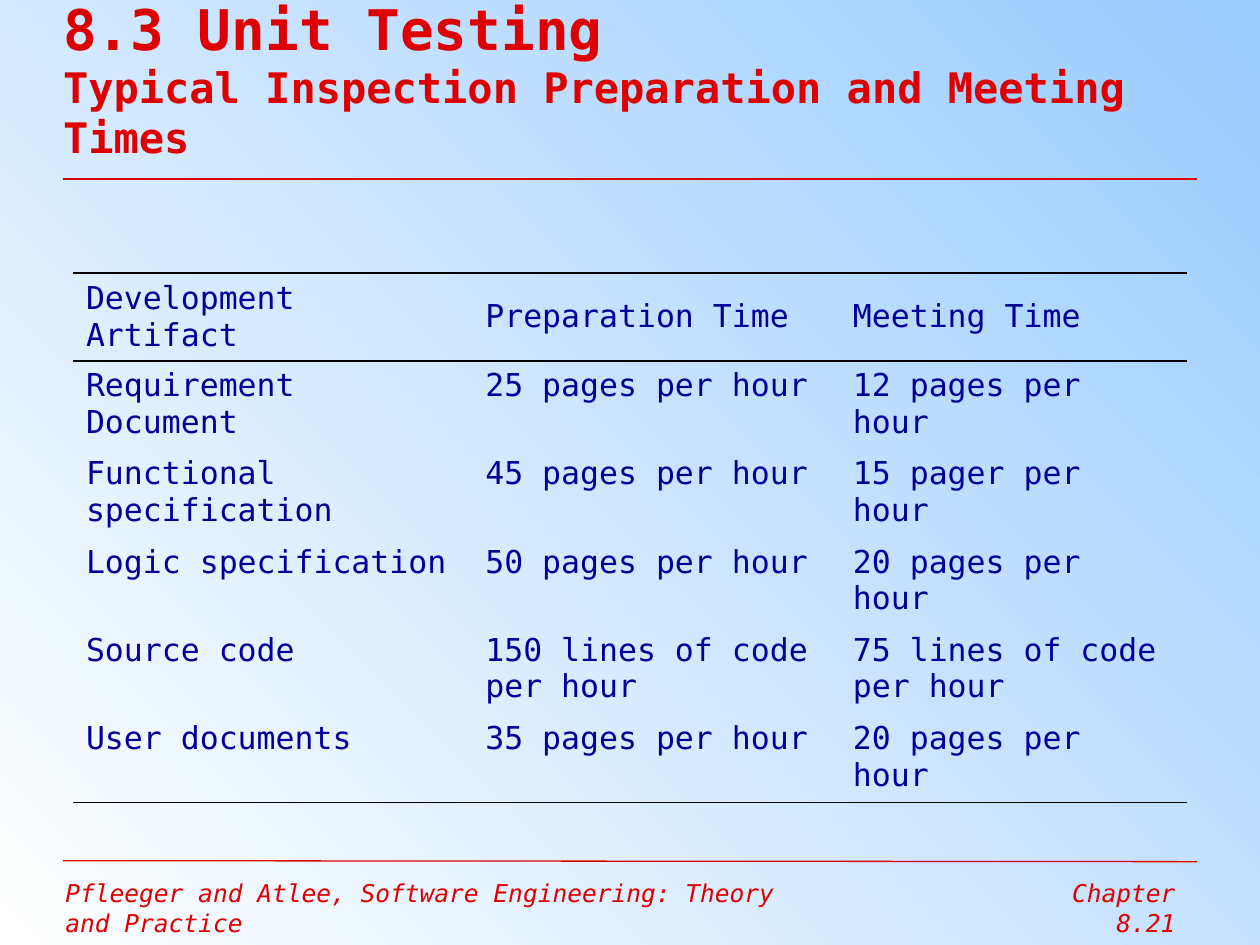
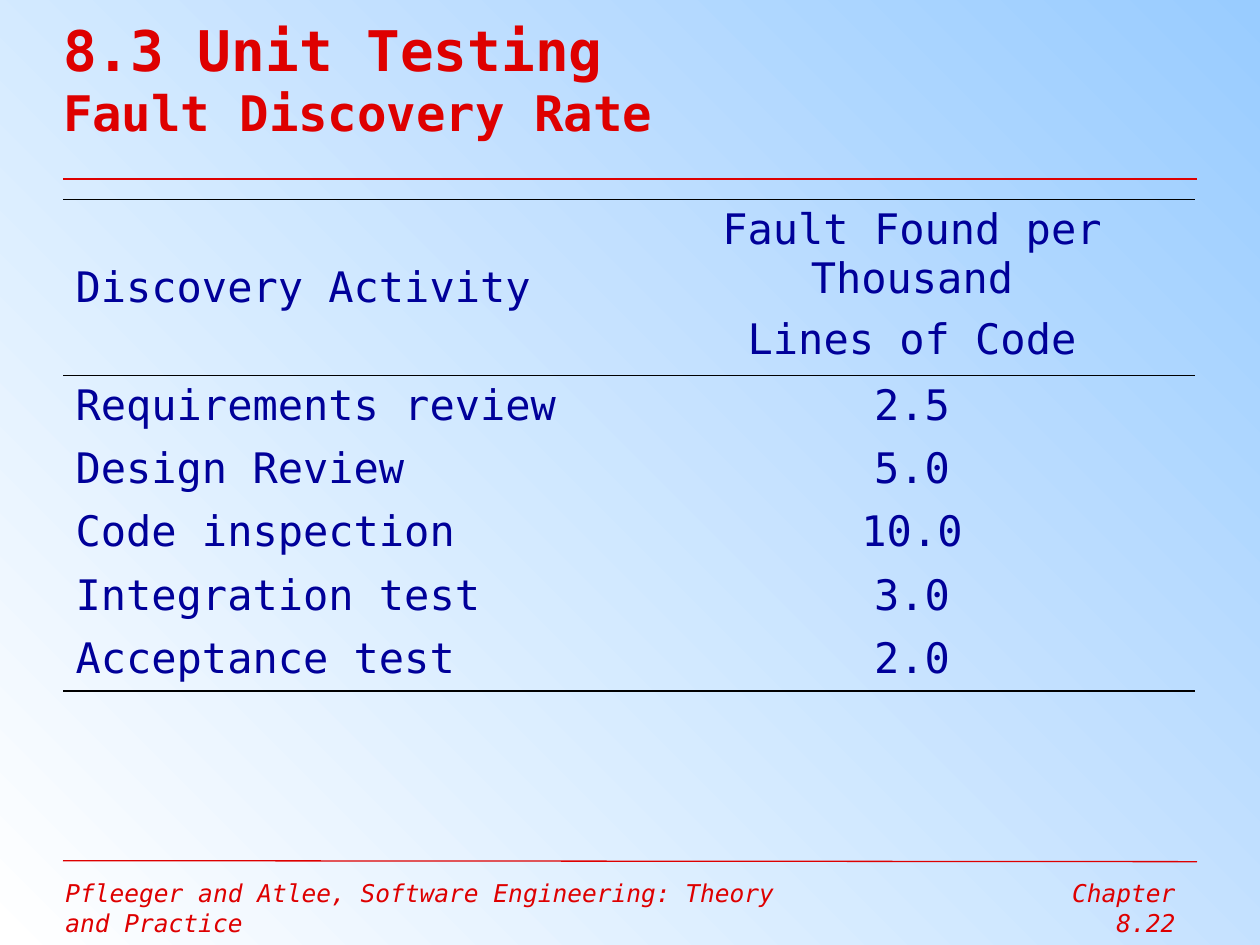
"""Builds two slides on unit testing: inspection times and fault discovery rates."""
from lxml.etree import SubElement
from pptx import Presentation
from pptx.dml.color import RGBColor
from pptx.enum.shapes import MSO_CONNECTOR
from pptx.enum.text import MSO_ANCHOR as Anchor, MSO_AUTO_SIZE as AutoSize, PP_ALIGN as Align
from pptx.oxml.ns import qn
from pptx.util import Cm, Pt

RED = RGBColor(0xDE, 0x00, 0x00)
NAVY = RGBColor(0x00, 0x00, 0x99)
BLACK = RGBColor(0x00, 0x00, 0x00)
SKY = RGBColor(0x99, 0xCC, 0xFF)
WHITE = RGBColor(0xFF, 0xFF, 0xFF)
FONT = "DejaVu Sans Mono"
LEFT, RIGHT = 1.27, 24.13
SECTION = "8.3 Unit Testing"
BOOK = "Pfleeger and Atlee, Software Engineering: Theory and Practice"

INSPECTION_TIMES = [
    ("Development Artifact", "Preparation Time", "Meeting Time"),
    ("Requirement Document", "25 pages per hour", "12 pages per hour"),
    ("Functional specification", "45 pages per hour", "15 pager per hour"),
    ("Logic specification", "50 pages per hour", "20 pages per hour"),
    ("Source code", "150 lines of code per hour", "75 lines of code per hour"),
    ("User documents", "35 pages per hour", "20 pages per hour"),
]
DISCOVERY_RATES = [
    ("Discovery Activity", "Fault Found per Thousand\nLines of Code"),
    ("Requirements review", "2.5"),
    ("Design Review", "5.0"),
    ("Code inspection", "10.0"),
    ("Integration test", "3.0"),
    ("Acceptance test", "2.0"),
]


def style_font(font, size, color, bold=False, italic=False):
    """Apply the deck's typeface with the given look."""
    font.name, font.size, font.bold, font.italic = FONT, Pt(size), bold, italic
    font.color.rgb = color


def paint_background(master):
    """Give every slide the diagonal sky gradient."""
    fill = master.background.fill
    fill.gradient()
    fill.gradient_angle = 225
    for stop, color in zip(fill.gradient_stops, (SKY, WHITE)):
        stop.color.rgb = color


def add_rule(slide, start_y, end_y, weight):
    """Draw a red rule across the content width."""
    rule = slide.shapes.add_connector(
        MSO_CONNECTOR.STRAIGHT, Cm(LEFT), Cm(start_y), Cm(RIGHT), Cm(end_y))
    rule.line.color.rgb = RED
    rule.line.width = Pt(weight)
    SubElement(rule._element.spPr, qn("a:effectLst"))


def add_footer(slide, text, left, width, align):
    """Write one italic footer text."""
    frame = slide.shapes.add_textbox(Cm(left), Cm(17.58), Cm(width), Cm(0.9)).text_frame
    frame.word_wrap = True
    frame.auto_size = AutoSize.SHAPE_TO_FIT_TEXT
    frame.text = text
    paragraph = frame.paragraphs[0]
    paragraph.alignment = align
    style_font(paragraph.runs[0].font, 14, RED, italic=True)


def set_title(slide, topic, topic_size):
    """Fill the title with the section name above the topic."""
    title = slide.shapes.title
    title.left, title.top, title.width, title.height = Cm(LEFT), 0, Cm(22.83), Cm(3.15)
    frame = title.text_frame
    frame.margin_left = frame.margin_right = frame.margin_top = frame.margin_bottom = 0
    frame.vertical_anchor = Anchor.MIDDLE
    frame.word_wrap = True
    frame.auto_size = AutoSize.NONE
    frame.text = f"{SECTION}\v{topic}"
    paragraph = frame.paragraphs[0]
    paragraph.alignment = Align.LEFT
    for run, size in zip(paragraph.runs, (32, topic_size)):
        style_font(run.font, size, RED, bold=True)


def add_section_slide(deck, topic, topic_size, number):
    """Add a slide with its title, rules and footers."""
    slide = deck.slides.add_slide(deck.slide_layouts[5])
    add_footer(slide, BOOK, 1.07, 15.24, Align.LEFT)
    add_rule(slide, 17.35, 17.37, 0.75)
    add_rule(slide, 3.61, 3.61, 1.5)
    add_footer(slide, f"Chapter 8.{number}", 19.89, 4.06, Align.RIGHT)
    set_title(slide, topic, topic_size)
    return slide


def set_borders(cell, ruled_sides):
    """Rule the named sides of a cell in black and clear the others."""
    properties = cell._tc.get_or_add_tcPr()
    for side in "LRTB":
        border = SubElement(properties, qn(f"a:ln{side}"), w=str(Pt(1.08)))
        if side in ruled_sides:
            fill = SubElement(border, qn("a:solidFill"))
            SubElement(fill, qn("a:srgbClr"), val=str(BLACK))
        else:
            SubElement(border, qn("a:noFill"))


def fill_cell(cell, text, size, align):
    """Write a clear cell in navy."""
    cell.fill.background()
    cell.text = text
    for index, paragraph in enumerate(cell.text_frame.paragraphs):
        paragraph.alignment = align
        paragraph.space_before = Pt(7 if index else 0)
        style_font(paragraph.runs[0].font, size, NAVY)


def add_ruled_table(slide, records, left, top, widths, heights, size, aligns):
    """Add a table ruled around its header and below its last row."""
    table = slide.shapes.add_table(
        len(records), len(widths), Cm(left), Cm(top),
        Cm(sum(widths)), Cm(sum(heights))).table
    table.first_row = table.horz_banding = False
    for column, width in zip(table.columns, widths):
        column.width = Cm(width)
    last = len(records) - 1
    ruled_sides = {0: "TB", 1: "T", last: "B"}
    for row, (record, height) in enumerate(zip(records, heights)):
        table.rows[row].height = Cm(height)
        for column, (text, align) in enumerate(zip(record, aligns)):
            cell = table.cell(row, column)
            set_borders(cell, ruled_sides.get(row, ""))
            fill_cell(cell, text, size, align)
            if row == 0 and "\n" not in text:
                cell.vertical_anchor = Anchor.MIDDLE


def main():
    """Build and save the deck."""
    deck = Presentation()
    deck.slide_width, deck.slide_height = Cm(25.4), Cm(19.05)
    paint_background(deck.slide_master)

    times = add_section_slide(
        deck, "Typical Inspection Preparation and Meeting Times", 24, 21)
    add_ruled_table(times, INSPECTION_TIMES, 1.48, 5.5, [8.05, 7.41, 6.98],
                    [1.45, 1.45, 1.45, 1.1, 1.78, 1.1], 18, [Align.LEFT] * 3)

    rates = add_section_slide(deck, "Fault Discovery Rate", 28, 22)
    add_ruled_table(rates, DISCOVERY_RATES, LEFT, 4.02, [11.41] * 2,
                    [2.54] + [1.27] * 5, 24, [Align.LEFT, Align.CENTER])

    deck.save("out.pptx")


if __name__ == "__main__":
    main()
